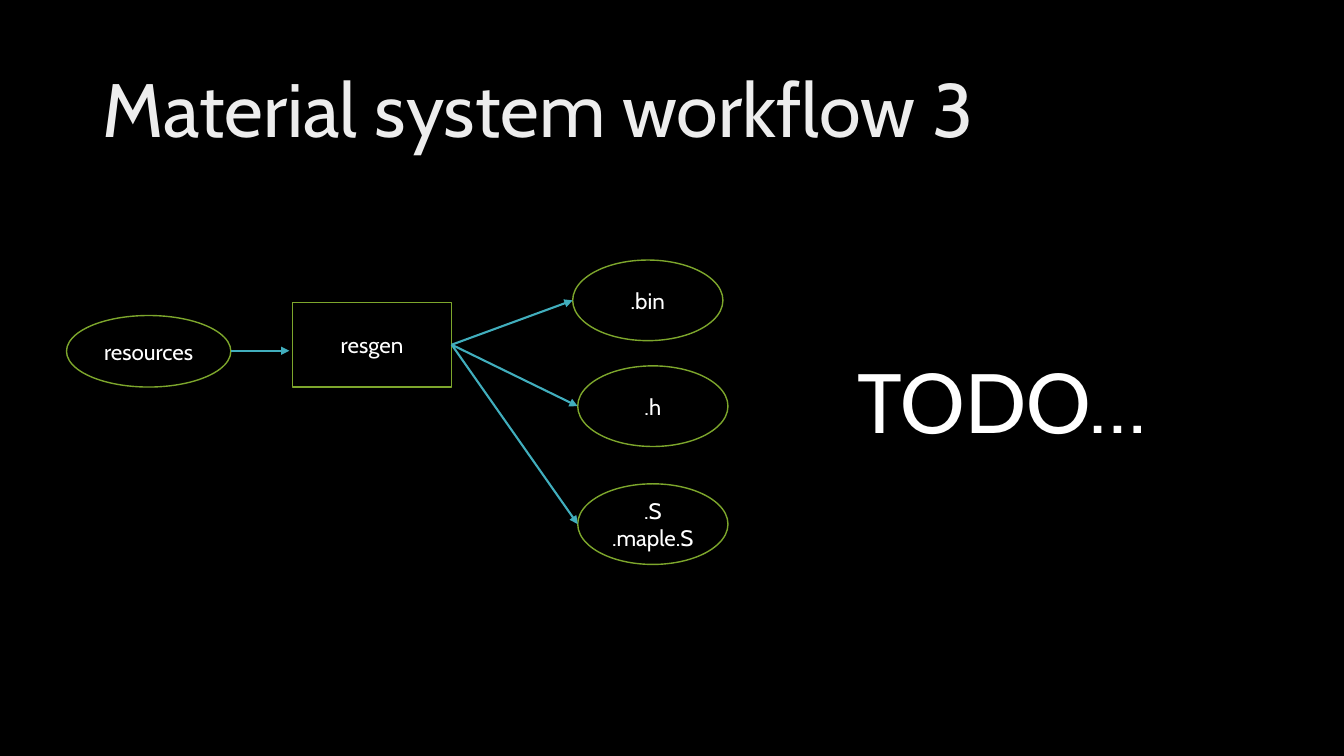
from dataclasses import dataclass

from pptx import Presentation
from pptx.dml.color import RGBColor
from pptx.enum.shapes import MSO_CONNECTOR, MSO_SHAPE
from pptx.enum.text import MSO_ANCHOR, MSO_AUTO_SIZE, PP_ALIGN
from pptx.oxml.ns import qn
from pptx.util import Emu, Pt
from lxml.etree import SubElement

PX = 9144  # 100 px to the inch
SLIDE_SIZE = (1333, 750)

TITLE = ("Material system workflow 3", (92, 40, 1150, 145))
REMARK = ("TODO…", (841, 342, 337, 111))
# name: (preset, lines of text, (left, top, width, height))
NODES = {
    "resources": (MSO_SHAPE.OVAL, ["resources"], (66, 313, 163, 71)),
    "resgen": (MSO_SHAPE.RECTANGLE, ["resgen"], (290, 300, 158, 84)),
    "bin": (MSO_SHAPE.OVAL, [".bin"], (568, 258, 149, 80)),
    "header": (MSO_SHAPE.OVAL, [".h"], (573, 363, 149, 80)),
    "assembly": (MSO_SHAPE.OVAL, [".S", ".maple.S"], (573, 480, 149, 80)),
}
OUTPUTS = ["bin", "header", "assembly"]
INPUT_ARROW_LENGTH = 58


@dataclass(frozen=True)
class Theme:
    font: str = "Cabin"
    background: str = "000000"
    title: str = "EDEDED"
    text: str = "FFFFFF"
    outline: str = "7DA62C"
    arrow: str = "41AEBD"
    title_size: int = 54
    node_size: int = 16
    remark_size: int = 60
    outline_width: float = 1
    arrow_width: float = 1.5


THEME = Theme()


def emu(lengths):
    return [Emu(length * PX) for length in lengths]


def write(shape, lines, size, color=THEME.text, align=PP_ALIGN.LEFT,
          anchor=MSO_ANCHOR.MIDDLE, spacing=None):
    frame = shape.text_frame
    frame.word_wrap = True
    frame.auto_size = MSO_AUTO_SIZE.NONE
    frame.vertical_anchor = anchor
    for index, line in enumerate(lines):
        para = frame.add_paragraph() if index else frame.paragraphs[0]
        para.alignment = align
        para.line_spacing = spacing
        span = para.add_run()
        span.text = line
        span.font.name = THEME.font
        span.font.size = Pt(size)
        span.font.color.rgb = RGBColor.from_string(color)


def add_node(page, preset, lines, place):
    node = page.shapes.add_shape(preset, *emu(place))
    node.shadow.inherit = False
    node.fill.background()
    node.line.color.rgb = RGBColor.from_string(THEME.outline)
    node.line.width = Pt(THEME.outline_width)
    write(node, lines, THEME.node_size, align=PP_ALIGN.CENTER)


def add_arrow(page, start, end):
    arrow = page.shapes.add_connector(MSO_CONNECTOR.STRAIGHT, *emu(start + end))
    arrow.line.color.rgb = RGBColor.from_string(THEME.arrow)
    arrow.line.width = Pt(THEME.arrow_width)
    SubElement(arrow.line._get_or_add_ln(), qn("a:tailEnd"), type="triangle")
    SubElement(arrow._element.spPr, qn("a:effectLst"))


def left_side(name):
    left, top, _, height = NODES[name][2]
    return left, top + height // 2


def right_side(name):
    x, y = left_side(name)
    return x + NODES[name][2][2], y


def main():
    deck = Presentation()
    deck.slide_width, deck.slide_height = emu(SLIDE_SIZE)
    page = deck.slides.add_slide(deck.slide_layouts[5])
    page.background.fill.solid()
    page.background.fill.fore_color.rgb = RGBColor.from_string(THEME.background)

    text, place = TITLE
    title = page.shapes.title
    title.left, title.top, title.width, title.height = emu(place)
    write(title, [text], THEME.title_size, color=THEME.title, spacing=0.9)

    for preset, lines, place in NODES.values():
        add_node(page, preset, lines, place)

    x, y = right_side("resources")
    add_arrow(page, (x, y), (x + INPUT_ARROW_LENGTH, y))
    for name in OUTPUTS:
        add_arrow(page, right_side("resgen"), left_side(name))

    text, place = REMARK
    remark = page.shapes.add_textbox(*emu(place))
    write(remark, [text], THEME.remark_size, anchor=MSO_ANCHOR.TOP)

    deck.save("out.pptx")


if __name__ == "__main__":
    main()
